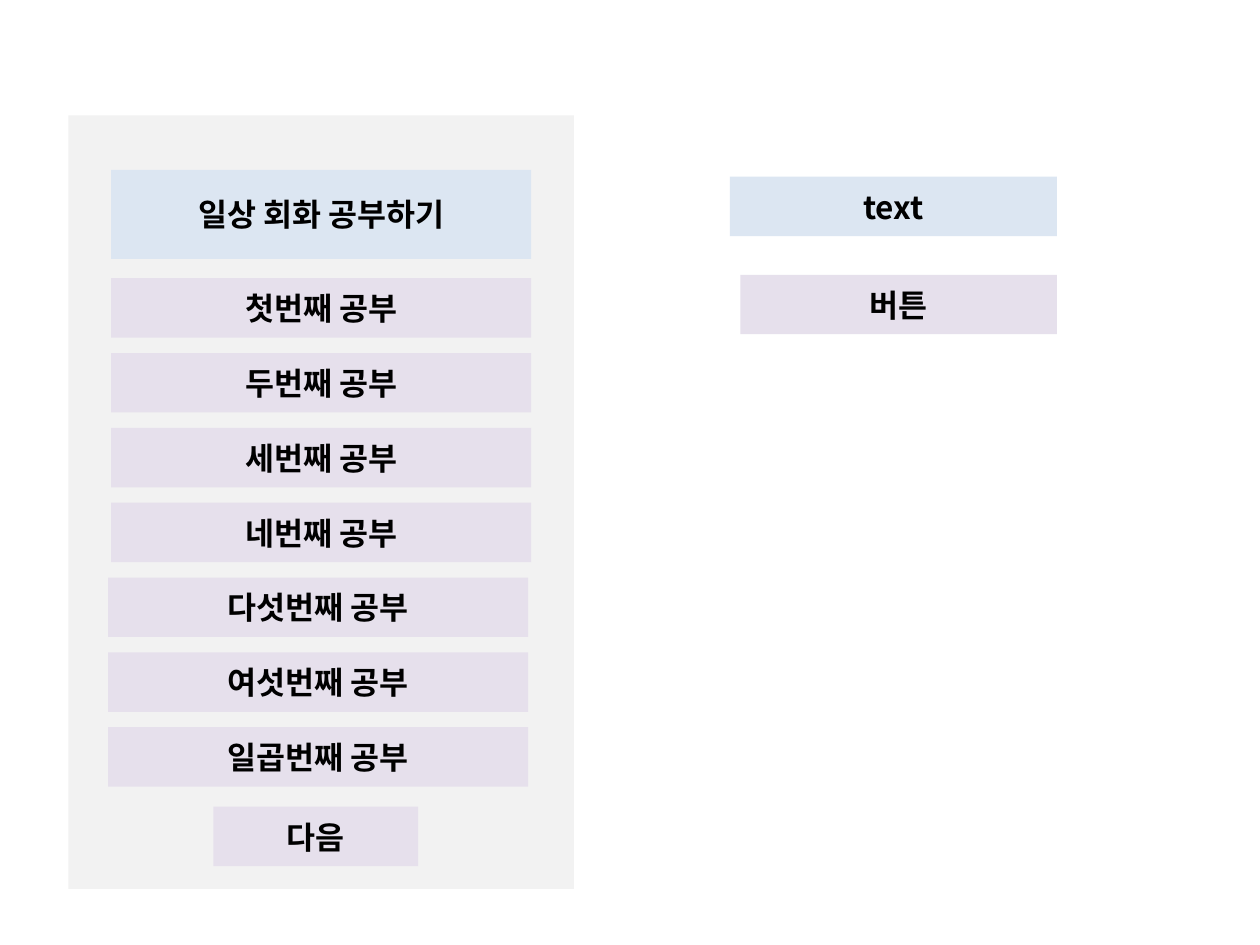
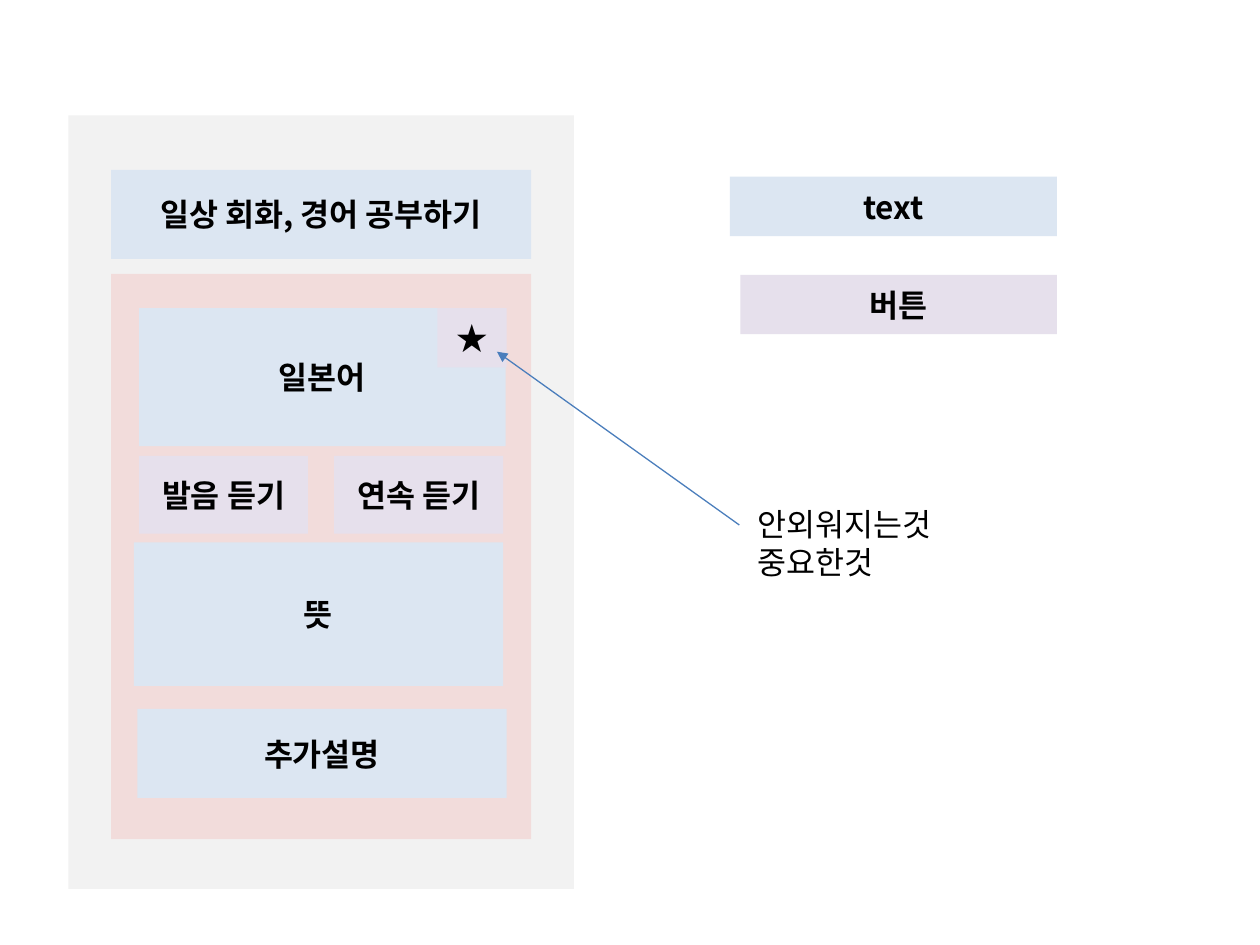
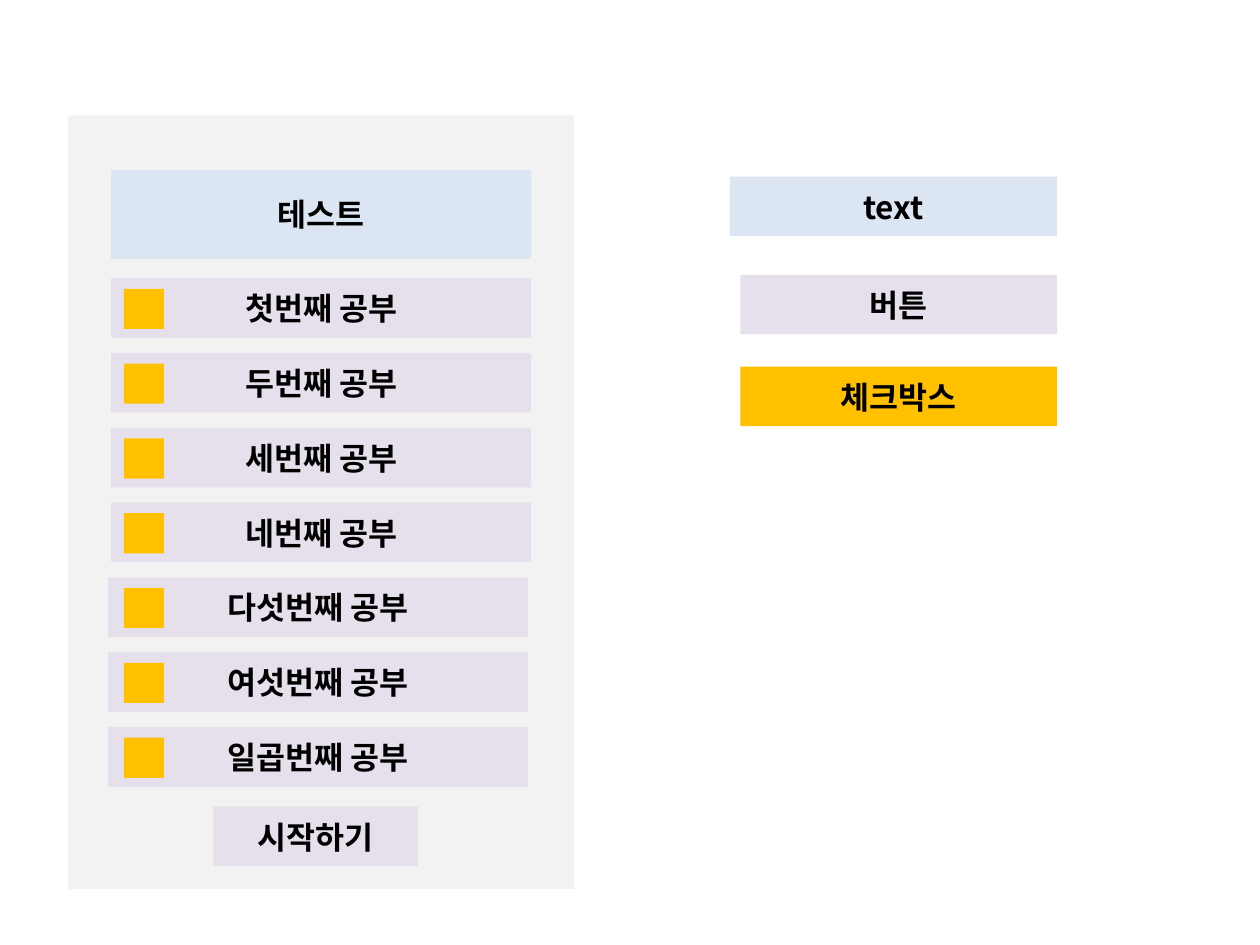
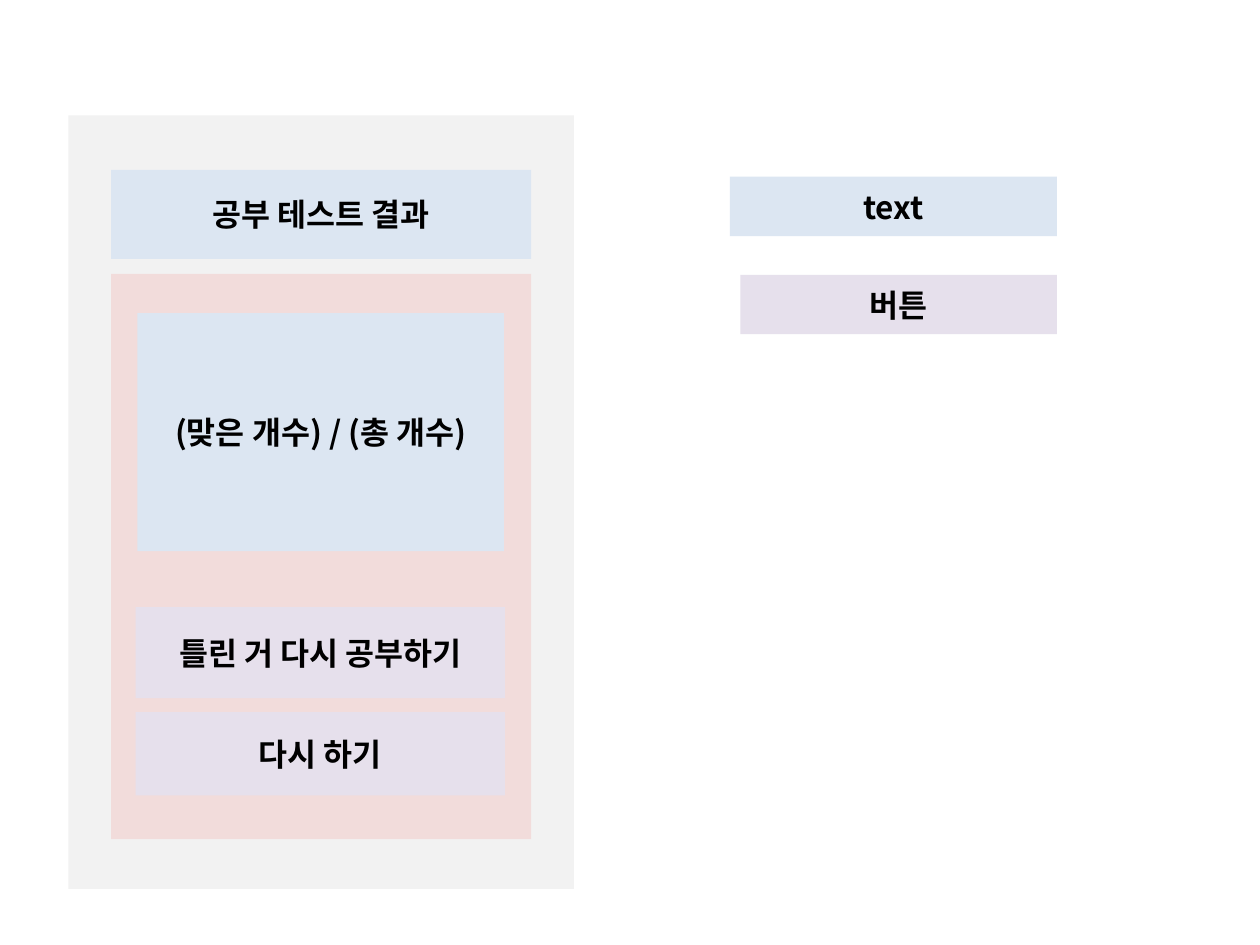
from collections import namedtuple

from lxml.etree import SubElement
from pptx import Presentation
from pptx.dml.color import RGBColor
from pptx.enum.shapes import MSO_CONNECTOR, MSO_SHAPE
from pptx.enum.text import MSO_ANCHOR, MSO_AUTO_SIZE, PP_ALIGN
from pptx.oxml.ns import qn
from pptx.util import Pt

# Shared style: colours, font and regions, with lengths in points
PANEL_GREY = "F2F2F2"
TEXT_BLUE = "DCE6F2"
BUTTON_LILAC = "E6E0EC"
CARD_PINK = "F2DCDB"
CHECK_YELLOW = "FFC000"
ARROW_BLUE = "4B7EBC"
BLACK = "000000"
FONT = "Noto Sans CJK KR"
TITLE_ONLY = 5

Box = namedtuple("Box", "left top width height")
PANEL = Box(39, 66, 289, 442)
LEGEND = Box(417, 101, 187, 143)
NOTE = Box(426, 285, 244, 51)
LESSONS = ["첫번째 공부", "두번째 공부", "세번째 공부", "네번째 공부",
           "다섯번째 공부", "여섯번째 공부", "일곱번째 공부"]


def colour(value):
    return RGBColor.from_string(value)


def inside(box, left, top, width, height):
    """Return a box placed relative to the corner of another box."""
    return Box(box.left + left, box.top + top, width, height)


def write_text(shape, text, size=18, bold=True, align=PP_ALIGN.CENTER,
               anchor=MSO_ANCHOR.MIDDLE, fit=MSO_AUTO_SIZE.NONE):
    frame = shape.text_frame
    frame.text = text
    frame.word_wrap = True
    frame.auto_size = fit
    frame.vertical_anchor = anchor
    for paragraph in frame.paragraphs:
        paragraph.alignment = align
        for run in paragraph.runs:
            run.font.size = Pt(size)
            run.font.bold = bold
            run.font.name = FONT
            run.font.color.rgb = colour(BLACK)
            SubElement(run.font._element, qn("a:ea"), typeface=FONT)


def paint(shape, fill):
    shape.fill.solid()
    shape.fill.fore_color.rgb = colour(fill)
    shape.line.fill.background()


def add_block(slide, box, fill, text=None):
    shape = slide.shapes.add_shape(MSO_SHAPE.RECTANGLE, *map(Pt, box))
    shape.shadow.inherit = False
    paint(shape, fill)
    if text:
        write_text(shape, text)
    return shape


def add_arrow(slide, start, end):
    arrow = slide.shapes.add_connector(
        MSO_CONNECTOR.STRAIGHT, *map(Pt, start + end))
    arrow.line.color.rgb = colour(ARROW_BLUE)
    arrow.line.width = Pt(0.75)
    SubElement(arrow.line._get_or_add_ln(), qn("a:tailEnd"), type="triangle")
    SubElement(arrow.element.spPr, qn("a:effectLst"))


# Regions
def add_panel(slide, box, title_text):
    """Grey app screen with its title bar on top."""
    title = slide.shapes.title
    place = inside(box, 24.5, 31, 240, 51)
    title.left, title.top, title.width, title.height = map(Pt, place)
    paint(title, TEXT_BLUE)
    write_text(title, title_text)
    panel = add_block(slide, box, PANEL_GREY)
    title.element.addprevious(panel.element)


def add_legend(slide, box, with_checkbox):
    add_block(slide, inside(box, 0, 0, 187, 34), TEXT_BLUE, "text")
    add_block(slide, inside(box, 6, 56, 181, 34), BUTTON_LILAC, "버튼")
    if with_checkbox:
        add_block(slide, inside(box, 6, 108.5, 181, 34), CHECK_YELLOW, "체크박스")


def add_lessons(slide, box, next_label, with_checkbox):
    """Evenly spaced lesson buttons and the button that leads on."""
    for index, lesson in enumerate(LESSONS):
        top = 93 + index * 42.75
        left = 24.5 if index < 4 else 22.75
        add_block(slide, inside(box, left, top, 240, 34), BUTTON_LILAC, lesson)
        if with_checkbox:
            add_block(slide, inside(box, 31.75, top + 6, 23, 23), CHECK_YELLOW)
    add_block(slide, inside(box, 83, 395, 117, 34), BUTTON_LILAC, next_label)


def add_card(slide, box, parts):
    """Pink card; each part is left, top, width, height, fill and text."""
    card = inside(box, 24.5, 90.5, 240, 323)
    add_block(slide, card, CARD_PINK)
    for *place, fill, text in parts:
        add_block(slide, inside(card, *place), fill, text)


def add_note(slide, box):
    add_arrow(slide, (422.5, 300), (284, 201))
    note = slide.shapes.add_textbox(*map(Pt, box))
    write_text(note, "안외워지는것\n중요한것", bold=False, align=PP_ALIGN.LEFT,
               anchor=MSO_ANCHOR.TOP, fit=MSO_AUTO_SIZE.SHAPE_TO_FIT_TEXT)


# Types of slide
def add_screen(presentation, title_text, with_checkbox=False):
    slide = presentation.slides.add_slide(
        presentation.slide_layouts[TITLE_ONLY])
    add_panel(slide, PANEL, title_text)
    add_legend(slide, LEGEND, with_checkbox)
    return slide


def add_lesson_screen(presentation, title_text, next_label,
                      with_checkbox=False):
    slide = add_screen(presentation, title_text, with_checkbox)
    add_lessons(slide, PANEL, next_label, with_checkbox)


def add_card_screen(presentation, title_text, parts):
    slide = add_screen(presentation, title_text)
    add_card(slide, PANEL, parts)
    return slide


def main():
    presentation = Presentation()
    presentation.slide_width = Pt(720)
    presentation.slide_height = Pt(540)

    # Lesson list
    add_lesson_screen(presentation, "일상 회화 공부하기", "다음")

    # Word card
    word_slide = add_card_screen(presentation, "일상 회화, 경어 공부하기", [
        (16, 19.5, 209.5, 79, TEXT_BLUE, "일본어"),
        (13, 153.5, 211, 82, TEXT_BLUE, "뜻"),
        (15, 248.5, 211, 51, TEXT_BLUE, "추가설명"),
        (16, 104, 96.5, 44.5, BUTTON_LILAC, "발음 듣기"),
        (127.5, 104, 96.5, 44.5, BUTTON_LILAC, "연속 듣기"),
        (186.5, 19.5, 39.5, 34, BUTTON_LILAC, "★"),
    ])
    add_note(word_slide, NOTE)

    # Test choice
    add_lesson_screen(presentation, "테스트", "시작하기", with_checkbox=True)

    # Test result
    add_card_screen(presentation, "공부 테스트 결과", [
        (15, 22.5, 209.5, 136, TEXT_BLUE, "(맞은 개수) / (총 개수)"),
        (14, 190.5, 211, 52, BUTTON_LILAC, "틀린 거 다시 공부하기"),
        (14, 250.5, 211, 47.5, BUTTON_LILAC, "다시 하기"),
    ])

    presentation.save("out.pptx")


if __name__ == "__main__":
    main()
